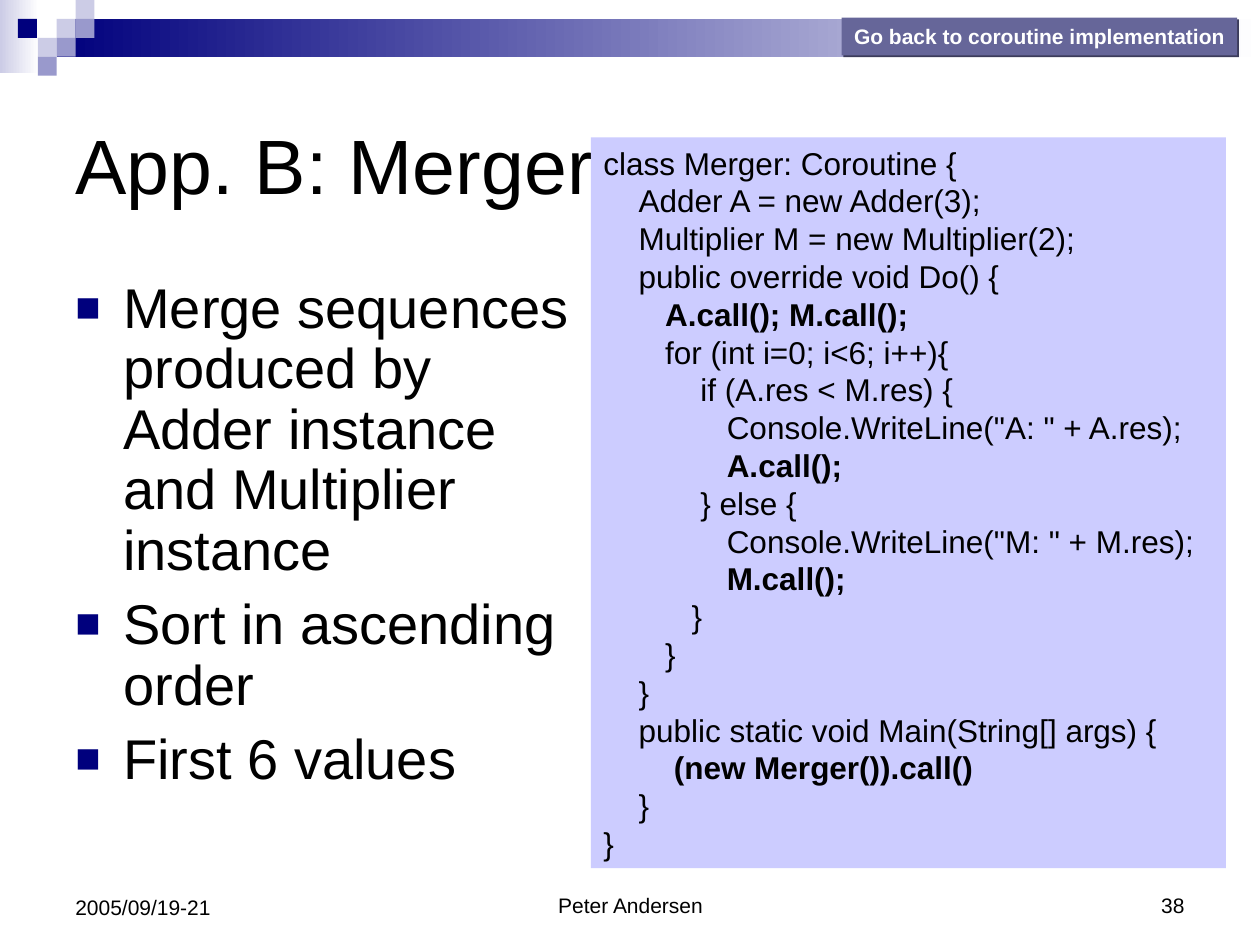
"""Build the Merger appendix slide with its code listing."""
import pptx
import pptx.util
import pptx.dml.color
import pptx.enum.shapes
import pptx.enum.text
import pptx.oxml
import pptx.oxml.ns
from pptx.util import Inches

RGB = pptx.dml.color.RGBColor
ALIGN = pptx.enum.text.PP_ALIGN
ANCHOR = pptx.enum.text.MSO_ANCHOR
FIT = pptx.enum.text.MSO_AUTO_SIZE
NS = pptx.oxml.ns.nsdecls("a")

WHITE = RGB(0xFF, 0xFF, 0xFF)
BLACK = RGB(0, 0, 0)
NAVY = RGB(0, 0, 0x7D)
PALE = RGB(0xCC, 0xCC, 0xE6)
MID = RGB(0x99, 0x99, 0xCC)
LILAC = RGB(0xCC, 0xCC, 0xFF)
SLATE = RGB(0x66, 0x66, 0x99)

TITLE = "App. B: Merger"
POINTS = [
    "Merge sequences\nproduced by\nAdder instance\nand Multiplier\ninstance",
    "Sort in ascending\norder",
    "First 6 values",
]
CODE = [
    (0, "class Merger: Coroutine {", False),
    (4, "Adder A = new Adder(3);", False),
    (4, "Multiplier M = new Multiplier(2);", False),
    (4, "public override void Do() {", False),
    (7, "A.call(); M.call();", True),
    (7, "for (int i=0; i<6; i++){", False),
    (11, "if (A.res < M.res) {", False),
    (14, 'Console.WriteLine("A: " + A.res);', False),
    (14, "A.call();", True),
    (11, "} else {", False),
    (14, 'Console.WriteLine("M: " + M.res);', False),
    (14, "M.call();", True),
    (10, "}", False),
    (7, "}", False),
    (4, "}", False),
    (4, "public static void Main(String[] args) {", False),
    (8, "(new Merger()).call()", True),
    (4, "}", False),
    (0, "}", False),
]
BUTTON = "Go back to coroutine implementation"
FOOTER = [
    ("Peter Andersen", (3.42, 6.83, 3.17, 0.5), ALIGN.CENTER),
    ("38", (7.17, 6.83, 2.33, 0.5), ALIGN.RIGHT),
    ("2005/09/19-21", (0.5, 6.83, 2.33, 0.52), ALIGN.LEFT),
]
FADES = [((0, 0, 0.31, 0.58), PALE), ((0.45, 0.15, 9.55, 0.3), NAVY)]
TILE = 0.15
TILES = [
    (3, 1, PALE), (4, 0, PALE), (4, 1, MID), (2, 2, PALE),
    (0.95, 1, NAVY), (3, 2, MID), (2, 3, MID),
]
SPACE = 0.07

deck = pptx.Presentation()
deck.slide_width, deck.slide_height = Inches(10), Inches(7.5)
slide = deck.slides.add_slide(deck.slide_layouts[6])


def add_rect(area, color=None):
    kind = pptx.enum.shapes.MSO_SHAPE.RECTANGLE
    rect = slide.shapes.add_shape(kind, *map(Inches, area))
    rect.shadow.inherit = False
    rect.line.fill.background()
    if color is not None:
        rect.fill.solid()
        rect.fill.fore_color.rgb = color
    return rect


def add_box(area, anchor):
    box = slide.shapes.add_textbox(*map(Inches, area))
    box.text_frame.word_wrap = True
    box.text_frame.vertical_anchor = anchor
    return box.text_frame


def write(para, text, size, color=BLACK, bold=False, align=ALIGN.LEFT):
    para.text = text
    para.alignment = align
    font = para.font
    font.name, font.size, font.bold = "Arial", pptx.util.Pt(size), bold
    font.color.rgb = color


def add_lines(frame, count):
    return [frame.paragraphs[0]] + [frame.add_paragraph() for _ in range(count - 1)]


def indent(para, left, first=0):
    props = para._p.get_or_add_pPr()
    props.set("marL", str(Inches(left)))
    props.set("indent", str(Inches(first)))
    return props


def add_bullet(para):
    props = indent(para, 0.38, -0.38)
    for xml in (
        f'<a:buClr {NS}><a:srgbClr val="{NAVY}"/></a:buClr>',
        f'<a:buSzPct {NS} val="75000"/>',
        f'<a:buFont {NS} typeface="Arial"/>',
        f'<a:buChar {NS} char="■"/>',
    ):
        props.append(pptx.oxml.parse_xml(xml))


for area, color in FADES:
    fill = add_rect(area).fill
    fill.gradient()
    fill.gradient_angle = 180
    for stop, tint, spot in zip(fill.gradient_stops, (WHITE, color), (0, 1)):
        stop.color.rgb = tint
        stop.position = spot

for col, row, color in TILES:
    add_rect((col * TILE, row * TILE, TILE, TILE), color)

write(add_box((0.5, 0.5, 9, 1.6), ANCHOR.MIDDLE).paragraphs[0], TITLE, 44)

body = add_box((0.5, 2.17, 9, 4.25), ANCHOR.TOP)
for para, text in zip(add_lines(body, len(POINTS)), POINTS):
    add_bullet(para)
    para.line_spacing = 0.9
    para.space_before = pptx.util.Pt(8)
    write(para, text, 32)

code = add_rect((4.69, 1.09, 5.04, 5.8), LILAC).text_frame
code.word_wrap = True
code.auto_size = FIT.SHAPE_TO_FIT_TEXT
code.vertical_anchor = ANCHOR.TOP
for para, (depth, text, bold) in zip(add_lines(code, len(CODE)), CODE):
    indent(para, depth * SPACE)
    write(para, text, 18, bold=bold)

button = add_rect((6.68, 0.14, 3.14, 0.3), SLATE)
label = button.text_frame
label.word_wrap = True
label.auto_size = FIT.NONE
label.vertical_anchor = ANCHOR.TOP
label.margin_right = 0
write(label.paragraphs[0], BUTTON, 12, WHITE, True)
effects = button._element.spPr.find(pptx.oxml.ns.qn("a:effectLst"))
effects.append(pptx.oxml.parse_xml(
    f'<a:outerShdw {NS} dist="17780" dir="2700000" algn="ctr">'
    '<a:srgbClr val="3C3C5B"/></a:outerShdw>'))

for text, area, align in FOOTER:
    write(add_box(area, ANCHOR.BOTTOM).paragraphs[0], text, 12, align=align)

deck.save("out.pptx")
